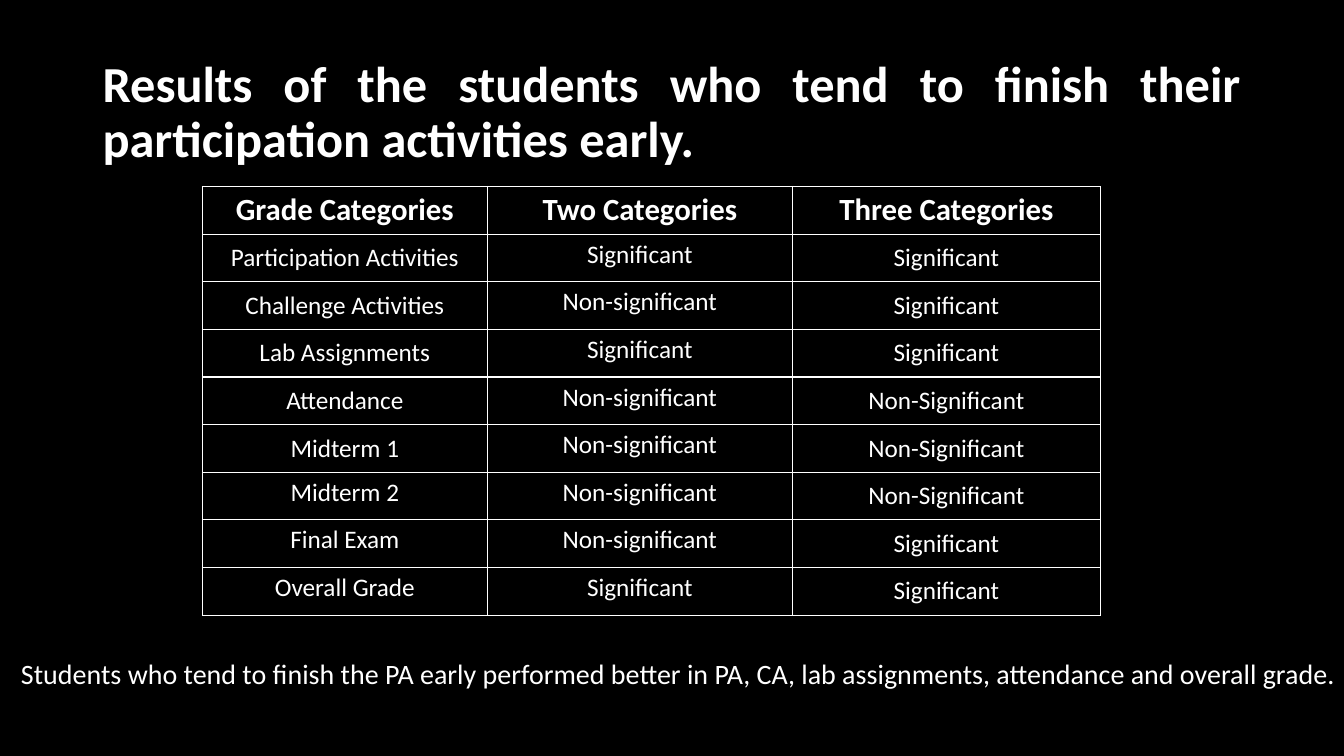
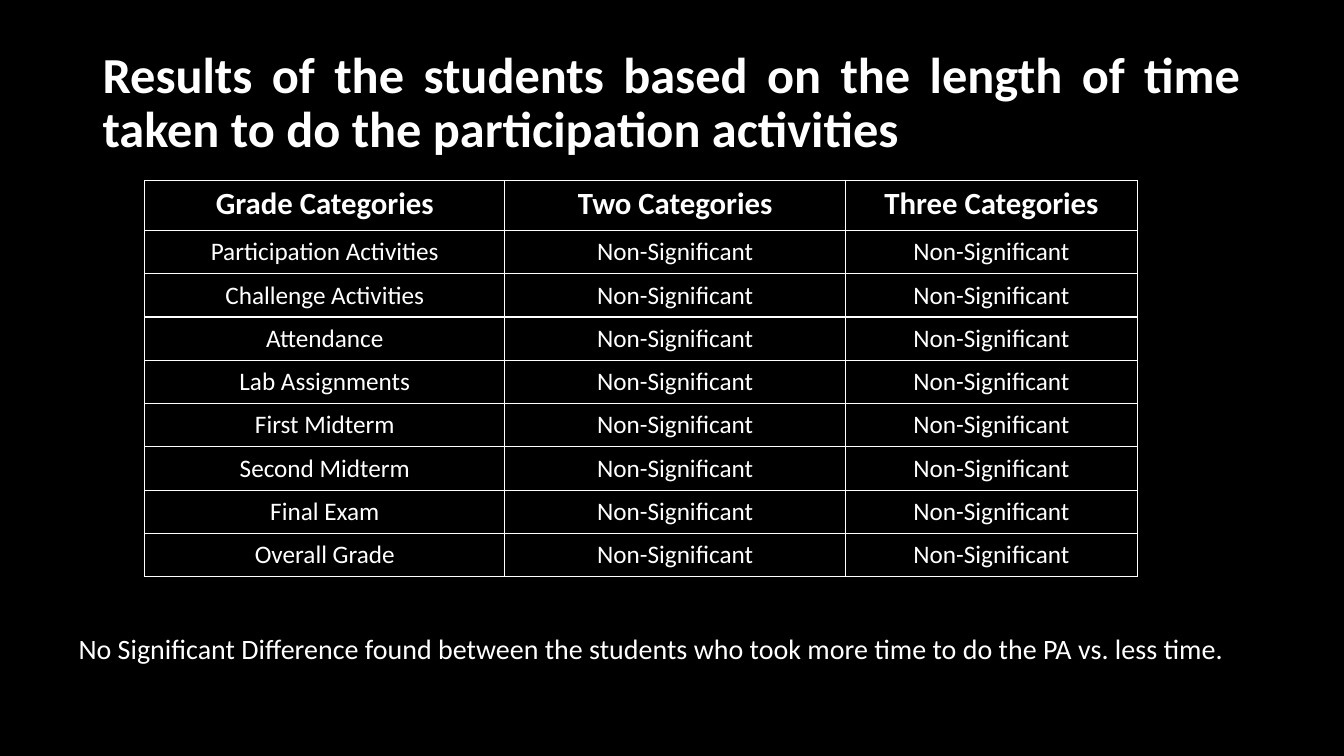
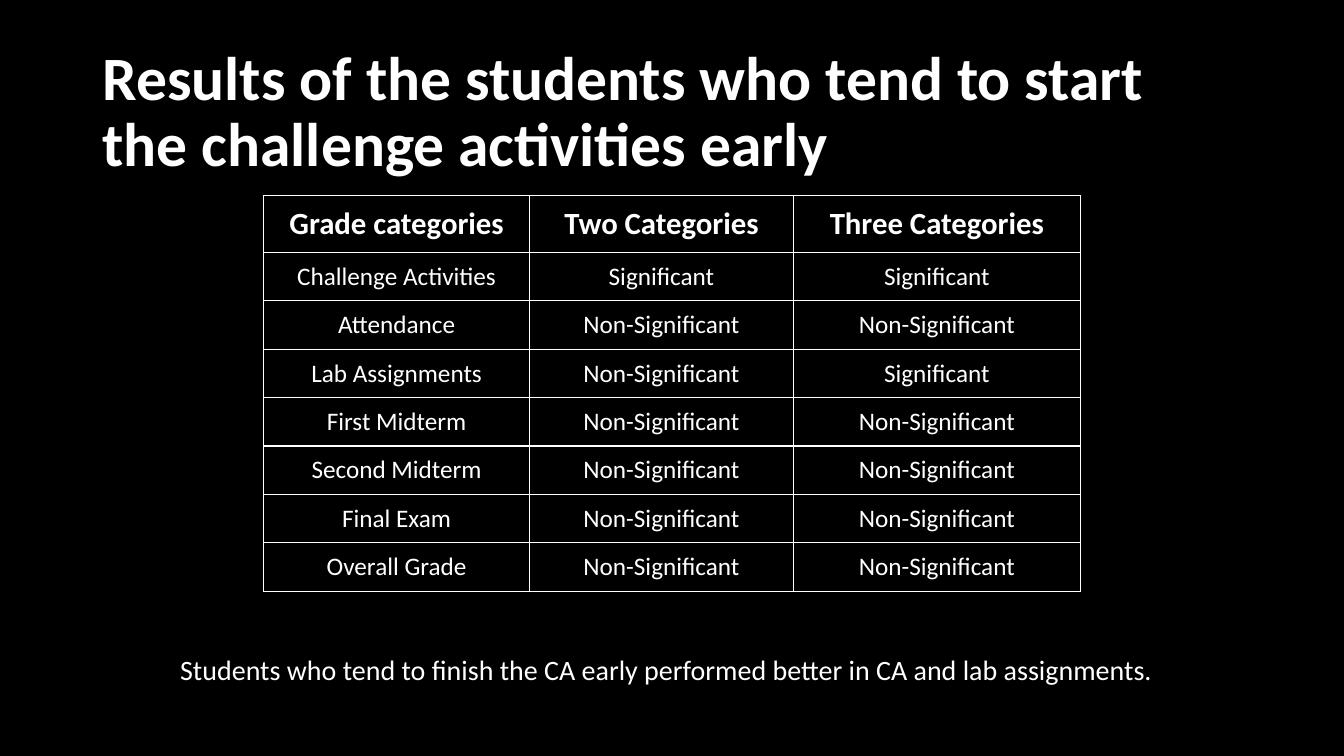
from itertools import product

from lxml import etree
from pptx import Presentation
from pptx.dml.color import RGBColor
from pptx.enum.text import MSO_ANCHOR, MSO_AUTO_SIZE, PP_ALIGN
from pptx.oxml.ns import qn
from pptx.util import Cm, Pt

TOP, MIDDLE = MSO_ANCHOR.TOP, MSO_ANCHOR.MIDDLE
LEFT, CENTER, JUSTIFY = PP_ALIGN.LEFT, PP_ALIGN.CENTER, PP_ALIGN.JUSTIFY
NO_FIT, GROW = MSO_AUTO_SIZE.NONE, MSO_AUTO_SIZE.SHAPE_TO_FIT_TEXT

COLORS = {"background": "000000", "text": "FFFFFF", "border": "FFFFFF"}
FONT = "Calibri"
TITLE_ONLY = 5
TITLE_BOX = (2.33, 1.02, 29.21, 3.68)
HEADER_SIZE, BODY_SIZE, CAPTION_SIZE = 22, 18, 20
BORDER_WIDTH = Pt(1)

SIG, NON, NON_LOWER = "Significant", "Non-Significant", "Non-significant"
HEADER = ("Grade Categories", "Two Categories", "Three Categories")

FINISH_EARLY = [
    HEADER,
    ("Participation Activities", SIG, SIG),
    ("Challenge Activities", NON_LOWER, SIG),
    ("Lab Assignments", SIG, SIG),
    ("Attendance", NON_LOWER, NON),
    ("Midterm 1", NON_LOWER, NON),
    ("Midterm 2", NON_LOWER, NON),
    ("Final Exam", NON_LOWER, SIG),
    ("Overall Grade", SIG, SIG),
]
TIME_TAKEN = [HEADER] + [
    (grade, NON, NON)
    for grade in (
        "Participation Activities", "Challenge Activities", "Attendance",
        "Lab Assignments", "First Midterm", "Second Midterm",
        "Final Exam", "Overall Grade",
    )
]
START_EARLY = [
    ("Grade categories",) + HEADER[1:],
    ("Challenge Activities", SIG, SIG),
    ("Attendance", NON, NON),
    ("Lab Assignments", NON, SIG),
    ("First Midterm", NON, NON),
    ("Second Midterm", NON, NON),
    ("Final Exam", NON, NON),
    ("Overall Grade", NON, NON),
]

HEADER_CELLS = set(product([0], range(3)))
FINISH_TOP_CELLS = (
    HEADER_CELLS | set(product(range(1, 9), [1])) | set(product(range(6, 9), [0]))
)

SLIDES = [
    {
        "title": {
            "text": "Results of the students who tend to finish their "
                    "participation activities early.",
            "box": TITLE_BOX, "size": 36, "align": JUSTIFY, "anchor": MIDDLE,
        },
        "table": {
            "rows": FINISH_EARLY, "pos": (5.1, 4.7), "widths": (7.18, 7.69, 7.76),
            "header_height": 1.2, "row_height": 1.2, "top_cells": FINISH_TOP_CELLS,
        },
        "caption": {
            "text": "Students who tend to finish the PA early performed better in "
                    "PA, CA, lab assignments, attendance and overall grade.",
            "box": (0.28, 16.41, 33.99, 1.11), "align": JUSTIFY,
        },
    },
    {
        "title": {
            "text": "Results of the students based on the length of time taken "
                    "to do the participation activities",
            "box": (2.33, 1.12, 29.21, 3.4), "size": 36, "align": JUSTIFY,
            "anchor": TOP,
        },
        "table": {
            "rows": TIME_TAKEN, "pos": (3.65, 4.55), "widths": (9.07, 8.59, 7.35),
            "header_height": 1.26, "row_height": 1.09, "top_cells": HEADER_CELLS,
        },
        "caption": {
            "text": "No Significant Difference found between the students who took "
                    "more time to do the PA vs. less time.",
            "box": (1.73, 15.8, 29.49, 1.11), "align": LEFT,
        },
    },
    {
        "title": {
            "text": "Results of the students who tend to start the challenge "
                    "activities early",
            "box": TITLE_BOX, "size": 44, "align": LEFT, "anchor": MIDDLE,
        },
        "table": {
            "rows": START_EARLY, "pos": (6.65, 4.93), "widths": (6.69, 6.66, 7.22),
            "header_height": 1.43, "row_height": 1.22, "top_cells": set(),
        },
        "caption": {
            "text": "Students who tend to finish the CA early performed better in "
                    "CA and lab assignments.",
            "box": (4.29, 16.31, 25.27, 1.11), "align": JUSTIFY,
        },
    },
]


def rgb(name):
    """Return the named palette colour."""
    return RGBColor.from_string(COLORS[name])


def write(tf, text, size, align, bold=False):
    """Write one formatted run in the first paragraph and return the paragraph."""
    p = tf.paragraphs[0]
    p.alignment = align
    r = p.add_run()
    r.text = text
    r.font.name = FONT
    r.font.size = Pt(size)
    r.font.bold = bold
    r.font.color.rgb = rgb("text")
    return p


def add_title(s, text, box, size, align, anchor):
    """Place and format the title placeholder."""
    sp = s.shapes.title
    sp.left, sp.top, sp.width, sp.height = map(Cm, box)
    tf = sp.text_frame
    tf.word_wrap = True
    tf.auto_size = NO_FIT
    tf.vertical_anchor = anchor
    write(tf, text, size, align, bold=True).line_spacing = 0.9


def add_borders(cell):
    """Draw a thin line on all four sides of a cell."""
    tc_pr = cell._tc.get_or_add_tcPr()
    for side in ("lnL", "lnR", "lnT", "lnB"):
        ln = etree.SubElement(tc_pr, qn(f"a:{side}"), w=str(BORDER_WIDTH))
        fill = etree.SubElement(ln, qn("a:solidFill"))
        etree.SubElement(fill, qn("a:srgbClr"), val=COLORS["border"])


def add_results(s, rows, pos, widths, header_height, row_height, top_cells):
    """Add the table of results with its corner at pos."""
    heights = [header_height] + [row_height] * (len(rows) - 1)
    size = (sum(widths), sum(heights))
    table = s.shapes.add_table(
        len(rows), len(widths), *map(Cm, pos + size)
    ).table
    for column, width in zip(table.columns, widths):
        column.width = Cm(width)
    for row, height in zip(table.rows, heights):
        row.height = Cm(height)
    for i, j in product(range(len(rows)), range(len(widths))):
        cell = table.cell(i, j)
        add_borders(cell)
        cell.fill.solid()
        cell.fill.fore_color.rgb = rgb("background")
        cell.vertical_anchor = TOP if (i, j) in top_cells else MIDDLE
        font_size = BODY_SIZE if i else HEADER_SIZE
        write(cell.text_frame, rows[i][j], font_size, CENTER, bold=i == 0)


def add_caption(s, text, box, align):
    """Add the one-line conclusion below the table."""
    tf = s.shapes.add_textbox(*map(Cm, box)).text_frame
    tf.word_wrap = False
    tf.auto_size = GROW
    write(tf, text, CAPTION_SIZE, align)


def add_results_slide(prs, title, table, caption):
    """Add a slide with a title, a results table and a conclusion."""
    s = prs.slides.add_slide(prs.slide_layouts[TITLE_ONLY])
    add_title(s, **title)
    add_results(s, **table)
    add_caption(s, **caption)


def main():
    """Build and save the presentation."""
    prs = Presentation()
    prs.slide_width, prs.slide_height = Cm(33.87), Cm(19.05)
    fill = prs.slide_master.background.fill
    fill.solid()
    fill.fore_color.rgb = rgb("background")
    for parts in SLIDES:
        add_results_slide(prs, **parts)
    prs.save("out.pptx")


if __name__ == "__main__":
    main()
